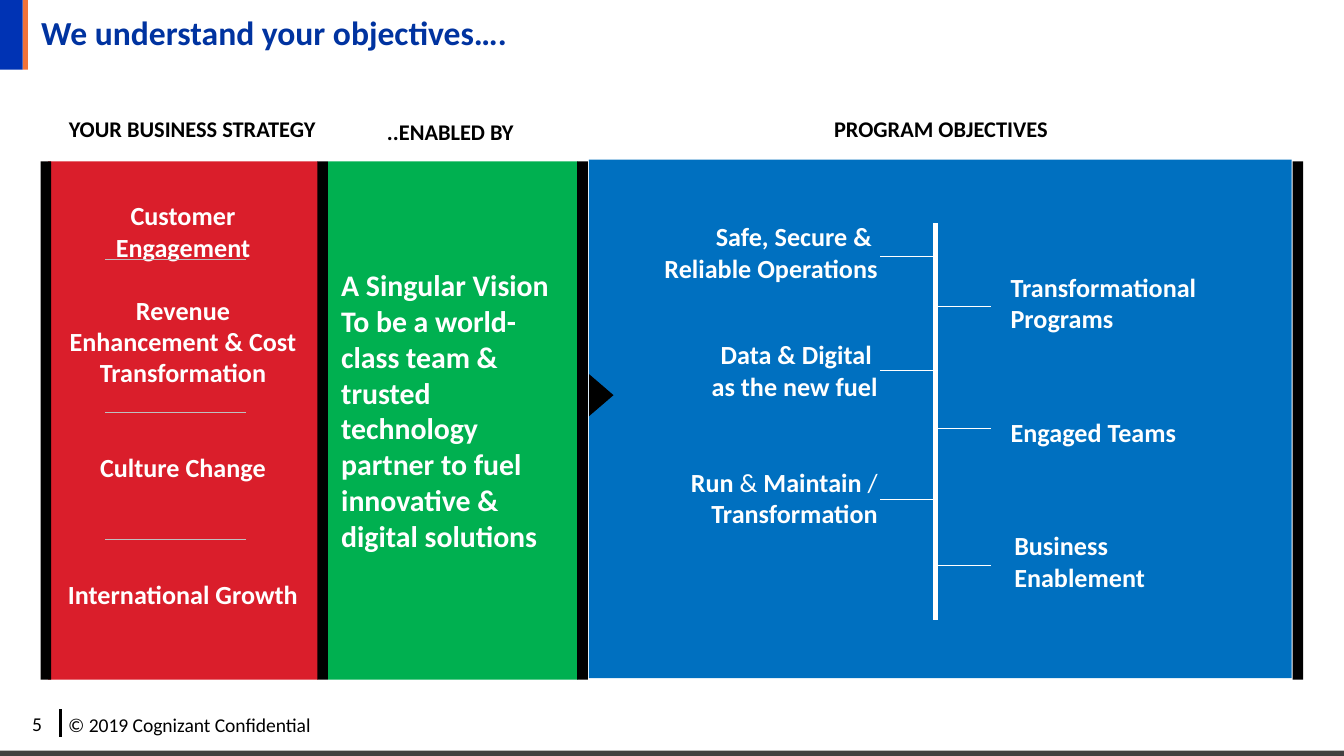
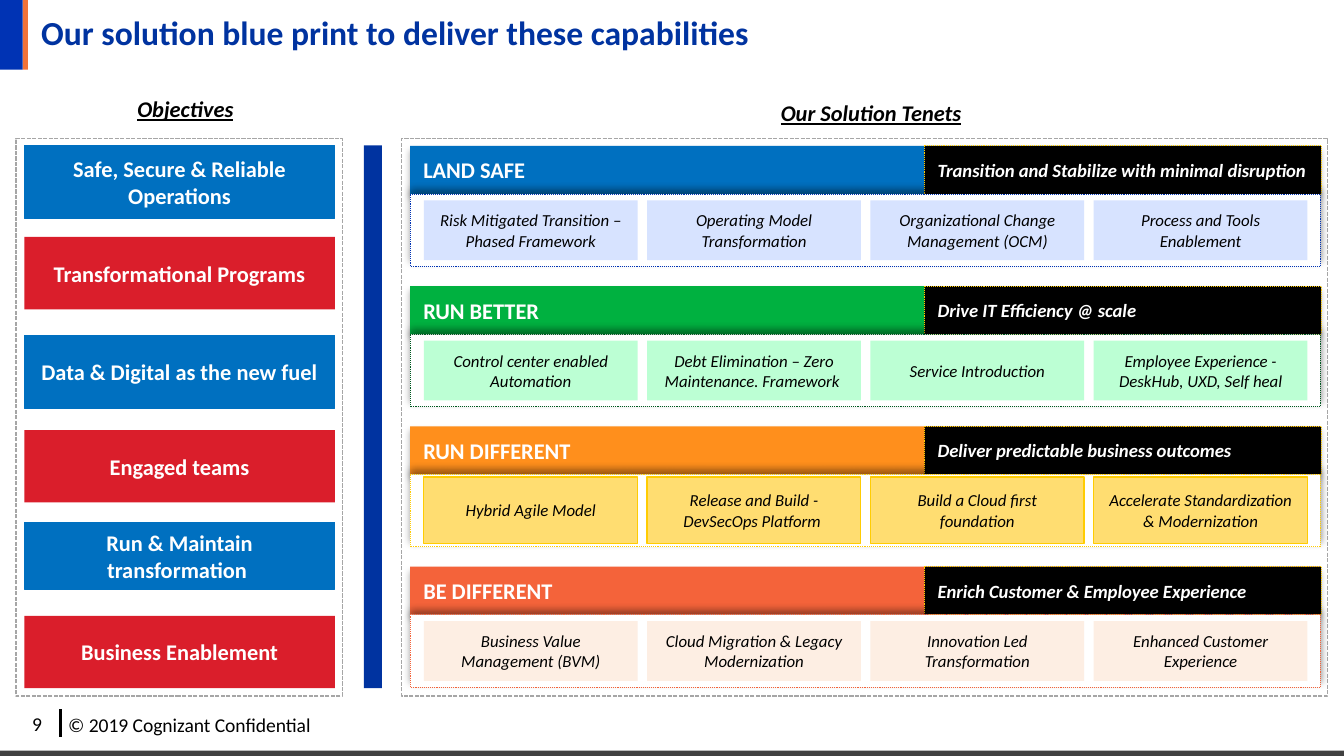
from lxml.etree import SubElement
from pptx import Presentation
from pptx.dml.color import RGBColor
from pptx.enum.dml import MSO_LINE as Dash
from pptx.enum.shapes import MSO_CONNECTOR, MSO_SHAPE as Preset
from pptx.enum.text import MSO_ANCHOR as Anchor, PP_ALIGN as Align
from pptx.oxml.ns import qn
from pptx.util import Cm, Pt


class Theme:
    font = "Calibri"
    white, black = "FFFFFF", "000000"
    navy, royal, orange = "0033A0", "0033B4", "F27339"
    blue, red, green = "0070C0", "DA1E2B", "00B050"
    yellow, coral = "FFCC02", "F4633A"
    edge, rule, frame = "404040", "BFBFBF", "A6A6A6"
    title, vision, label, heading = 18, 16, 14, 12
    footer, promise, card = 10.5, 10, 9


def add_box(slide, left, top, width, height, text="", fill=None, color=Theme.white,
            size=Theme.heading, bold=False, italic=False, align=Align.LEFT,
            anchor=Anchor.MIDDLE, outline=None, shadow=None, preset=Preset.RECTANGLE):
    """Add a filled shape, or a text box without fill; lengths in cm.

    Newlines in text split paragraphs and "|" splits runs.
    outline is (colour, points, dash); shadow is (opacity %, blur, distance, angle).
    """
    place = Cm(left), Cm(top), Cm(width), Cm(height)
    if fill:
        box = slide.shapes.add_shape(preset, *place)
        box.shadow.inherit = False
        box.fill.solid()
        box.fill.fore_color.rgb = RGBColor.from_string(fill)
        box.line.fill.background()
    else:
        box = slide.shapes.add_textbox(*place)
    if outline:
        line_color, points, dash = outline
        box.line.color.rgb = RGBColor.from_string(line_color)
        box.line.width = Pt(points)
        box.line.dash_style = dash
    if shadow:
        opacity, blur, distance, angle = shadow
        effects = box.element.spPr.find(qn("a:effectLst"))
        outer = SubElement(effects, qn("a:outerShdw"), blurRad=str(Pt(blur)),
                           dist=str(Pt(distance)), dir=str(angle * 60000), rotWithShape="0")
        tint = SubElement(outer, qn("a:srgbClr"), val=Theme.black)
        SubElement(tint, qn("a:alpha"), val=str(opacity * 1000))
    if text:
        frame = box.text_frame
        frame.word_wrap = True
        frame.vertical_anchor = anchor
        for index, words in enumerate(text.split("\n")):
            paragraph = frame.add_paragraph() if index else frame.paragraphs[0]
            paragraph.alignment = align
            font = paragraph.font
            font.name, font.size = Theme.font, Pt(size)
            font.bold, font.italic = bold, italic
            font.color.rgb = RGBColor.from_string(color)
            for part in words.split("|"):
                paragraph.add_run().text = part
    return box


def add_line(slide, x1, y1, x2, y2, color, points):
    line = slide.shapes.add_connector(MSO_CONNECTOR.STRAIGHT, Cm(x1), Cm(y1), Cm(x2), Cm(y2))
    line.line.color.rgb = RGBColor.from_string(color)
    line.line.width = Pt(points)
    SubElement(line.element.spPr, qn("a:effectLst"))


deck = Presentation()
deck.slide_width, deck.slide_height = Cm(25.4), Cm(14.29)

# Shared title, bands and footer
slides = []
for number, title in (("5", "We understand your objectives…."),
                      ("9", "Our solution blue print to deliver these capabilities")):
    slide = deck.slides.add_slide(deck.slide_layouts[6])
    add_box(slide, 0, 14.19, 25.4, 0.1, fill=Theme.edge)
    add_box(slide, 0.43, 0, 0.1, 1.32, fill=Theme.orange)
    add_box(slide, 0, 0, 0.43, 1.32, fill=Theme.royal)
    for left, top, width, words in ((0.36, 13.34, 0.97, number),
                                    (1.04, 13.36, 5.54, "© 2019 Cognizant Confidential")):
        add_box(slide, left, top, width, 0.71, words, color=Theme.black,
                size=Theme.footer, anchor=Anchor.TOP)
    add_line(slide, 1.14, 13.41, 1.14, 13.94, Theme.black, 1.5)
    heading = add_box(slide, 0.53, 0, 24.87, 1.32, title, color=Theme.navy,
                      size=Theme.title, bold=True).text_frame
    heading.margin_left = Cm(0.25)
    heading.margin_top = heading.margin_right = heading.margin_bottom = 0
    heading.paragraphs[0].line_spacing = 0.9
    slides.append(slide)
objectives_slide, blueprint_slide = slides

# Objectives: program tree
slide = objectives_slide
panel_top, panel_height = 3.05, 9.8
add_box(slide, 11.13, 3.02, 13.28, panel_height, fill=Theme.blue)
trunk, twig = 17.68, 1.04
for side, left, width, top, tick, words in (
        (-1, 11.1, 5.74, 4.22, 4.85, "Safe, Secure & \nReliable Operations"),
        (-1, 11.1, 5.74, 6.45, 7.01, "Data & Digital \nas the new fuel"),
        (-1, 11.1, 5.74, 8.86, 9.45, "Run| & |Maintain| / |Transformation"),
        (1, 18.85, 4.9, 5.18, 5.79, "Transformational Programs"),
        (1, 18.85, 4.27, 7.62, 8.1, "Engaged Teams"),
        (1, 18.92, 4.27, 10.06, 10.69, "Business Enablement")):
    goal = add_box(slide, left, top, width, 1.09, words, size=Theme.label, bold=True,
                   align=Align.RIGHT if side < 0 else Align.LEFT)
    for joiner in goal.text_frame.paragraphs[0].runs[1::2]:
        joiner.font.bold = False
    add_line(slide, trunk, tick, trunk + side * twig, tick, Theme.white, 0.5)
add_line(slide, trunk, 4.22, trunk, 11.71, Theme.white, 3)

# Objectives: vision and strategy
vision = add_box(slide, 6.2, panel_top, 4.72, panel_height,
                 "A Singular Vision\nTo be a world-class team & trusted technology partner "
                 "to fuel innovative & digital solutions",
                 fill=Theme.green, size=Theme.vision, bold=True)
vision.text_frame.margin_bottom = Cm(0.52)
strategy = add_box(slide, 0.91, panel_top, 5.1, panel_height,
                   "Customer Engagement\nRevenue Enhancement & Cost Transformation\n"
                   "Culture Change\nInternational Growth",
                   fill=Theme.red, size=Theme.label, bold=True, align=Align.CENTER)
strategy.text_frame.margin_bottom = Cm(0.73)
for step, paragraph in enumerate(strategy.text_frame.paragraphs):
    if step:
        paragraph.space_before = Pt(17 * step)
for divider in (4.9, 7.8, 10.19):
    add_line(slide, 4.65, divider, 1.98, divider, Theme.rule, 0.5)

for left in (0.77, 6, 10.91, 24.43):
    add_box(slide, left, panel_top, 0.2, panel_height, fill=Theme.black)
pointer = add_box(slide, 10.97, 7.24, 0.79, 0.46, fill=Theme.black,
                  preset=Preset.FLOWCHART_EXTRACT)
pointer.rotation = 90

for left, top, width, words in ((0.84, 2.08, 5.59, "YOUR BUSINESS STRATEGY"),
                                (14.99, 2.08, 5.59, "PROGRAM OBJECTIVES"),
                                (6.78, 2.13, 3.56, "..ENABLED BY ")):
    add_box(slide, left, top, width, 0.72, words, color=Theme.black, bold=True,
            align=Align.CENTER)

# Blueprint: objectives column
slide = blueprint_slide
for left, width in ((0.3, 6.17), (7.59, 17.5)):
    add_box(slide, left, 2.62, width, 10.54, fill=Theme.white,
            outline=(Theme.frame, 0.75, Dash.SQUARE_DOT))
for left, top, words in ((0.48, 1.68, "Objectives"), (13.44, 1.75, "Our Solution Tenets")):
    caption = add_box(slide, left, top, 6.05, 0.76, words, color=Theme.black, bold=True,
                      italic=True, align=Align.CENTER, anchor=Anchor.TOP)
    caption.text_frame.paragraphs[0].font.underline = True
add_box(slide, 6.88, 2.75, 0.34, 10.26, fill=Theme.navy)

for index, (top, height, words) in enumerate((
        (2.75, 1.38, "Safe, Secure & Reliable Operations"),
        (4.48, 1.37, "Transformational Programs"),
        (6.34, 1.38, "Data & Digital as the new fuel"),
        (8.13, 1.37, "Engaged teams"),
        (9.87, 1.27, "Run & Maintain transformation "),
        (11.64, 1.37, "Business Enablement"))):
    fill = (Theme.blue, Theme.red)[index % 2]
    add_box(slide, 0.46, top, 5.87, height, words, fill=fill, bold=True, align=Align.CENTER,
            outline=(fill, 0.5, Dash.SOLID) if fill == Theme.blue else None)

# Blueprint: solution tenets
tenets = (
    ("LAND SAFE", "Transition and Stabilize with minimal disruption",
     Theme.blue, Theme.royal, "D7E3FF",
     ("Risk Mitigated Transition – Phased Framework", "Operating Model Transformation",
      "Organizational Change Management (OCM)", "Process and Tools Enablement")),
    ("RUN BETTER", "Drive IT Efficiency @ scale",
     "00B140", "005820", "BCFFD4",
     ("Control center enabled Automation", "Debt Elimination – Zero\nMaintenance. Framework ",
      "Service Introduction", "Employee Experience - DeskHub, UXD, Self heal")),
    ("RUN DIFFERENT", "Deliver predictable business outcomes",
     "FF8F1C", Theme.yellow, "FFDD71",
     ("Hybrid Agile Model", "Release and Build - DevSecOps Platform ",
      "Build a Cloud first foundation", "Accelerate Standardization & Modernization")),
    ("BE DIFFERENT", "Enrich Customer & Employee Experience",
     Theme.coral, Theme.coral, "FDEEE3",
     ("Business Value Management (BVM)", "Cloud Migration & Legacy Modernization",
      "Innovation Led Transformation", "Enhanced Customer Experience")),
)
band_height = 0.91
for row, (name, promise, band, border, tint, capabilities) in enumerate(tenets):
    top = 2.76 + 2.65 * row
    add_box(slide, 7.75, top, 17.2, band_height, name, fill=band, bold=True,
            shadow=(32, 3.5, 2.2, 90))
    add_box(slide, 17.47, top, 7.5, band_height, promise, fill=Theme.black,
            size=Theme.promise, bold=True, italic=True,
            outline=(Theme.yellow, 0.5, Dash.ROUND_DOT))
    add_box(slide, 7.75, top + band_height, 17.2, 1.37, fill=Theme.white,
            outline=(border, 0.5, Dash.ROUND_DOT), shadow=(40, 4, 3, 270))
    outlined = border == Theme.yellow
    inset, height = (0.96, 1.25) if outlined else (1.03, 1.13)
    for column, capability in enumerate(capabilities):
        add_box(slide, 8.01 + 4.22 * column, top + inset, 4.04, height, capability,
                fill=tint, color=Theme.black, size=Theme.card, italic=True,
                align=Align.CENTER,
                outline=(border, 0.75, Dash.SOLID) if outlined else None)

deck.save("out.pptx")
